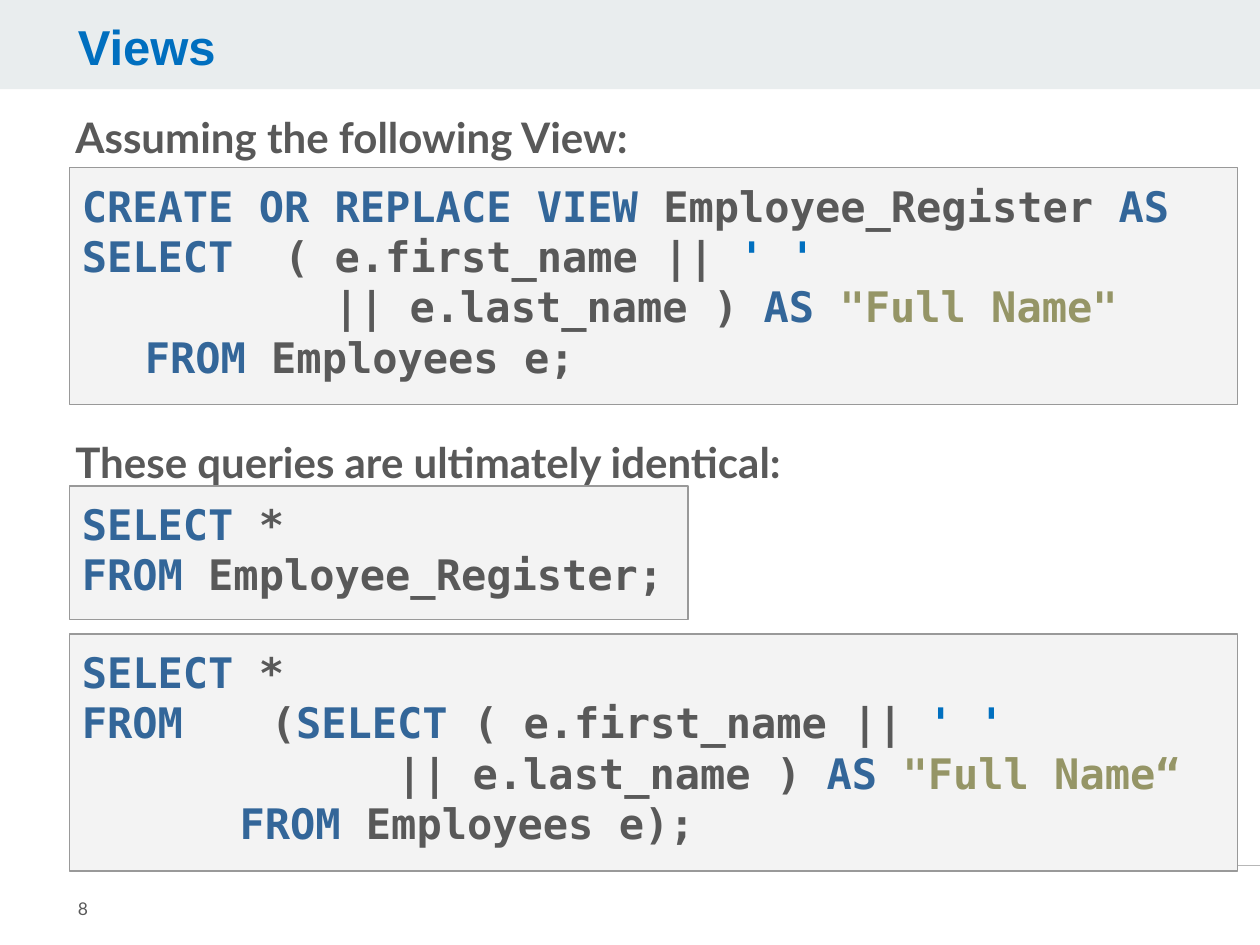
from dataclasses import dataclass
from typing import Any

from lxml.etree import SubElement
from pptx import Presentation
from pptx.dml.color import RGBColor
from pptx.enum.shapes import MSO_CONNECTOR, MSO_SHAPE
from pptx.enum.text import MSO_ANCHOR, MSO_AUTO_SIZE, PP_ALIGN
from pptx.oxml.ns import qn
from pptx.util import Cm, Pt

COLORS = {
    "band": "E9EDEE",
    "rule": "B7B7B7",
    "panel": "F3F3F3",
    "border": "999999",
    "title": "006FBF",
    "plain": "595959",
    "keyword": "336699",
    "literal": "006FBF",
    "alias": "959566",
}
CODE_FONT = {"name": "DejaVu Sans Mono", "size": Pt(24), "bold": True}
HEADING_FONT = {"name": "Lato", "size": Pt(24), "bold": True}
TITLE_FONT = {"name": "Arial", "size": Pt(28), "bold": True}
NUMBER_FONT = {"name": "Lato", "size": Pt(10), "bold": False}

WIDE, NARROW = 23.55, 12.47
FOUR_LINES, TWO_LINES = 4.78, 2.69
PANEL_LEFT = 1.4


@dataclass
class CodeLine:
    tokens: list[tuple[str, str]]
    margin: float = 0
    indent: float = 0


@dataclass
class CodePanel:
    top: float
    width: float
    height: float
    lines: list[CodeLine]


def concatenation(margin: float, closing_quote: str) -> CodeLine:
    return CodeLine(
        [("plain", "|| e.last_name ) "), ("keyword", "AS "),
         ("alias", f'"Full Name{closing_quote}')],
        margin, 1.27,
    )


FIRST_NAME = [("plain", "( e.first_name || "), ("literal", "' '")]
SELECT_ALL = [("keyword", "SELECT "), ("plain", "* \n")]

PANELS = [
    CodePanel(3.38, WIDE, FOUR_LINES, [
        CodeLine([("keyword", "CREATE OR REPLACE VIEW "),
                  ("plain", "Employee_Register "),
                  ("keyword", "AS \nSELECT  "), *FIRST_NAME]),
        concatenation(3.81, '"'),
        CodeLine([("keyword", "FROM "), ("plain", "Employees e;")], 1.27),
    ]),
    CodePanel(9.8, NARROW, TWO_LINES, [
        CodeLine([*SELECT_ALL, ("keyword", "FROM "),
                  ("plain", "Employee_Register;")]),
    ]),
    CodePanel(12.78, WIDE, FOUR_LINES, [
        CodeLine([*SELECT_ALL, ("keyword", "FROM \t"), ("plain", "("),
                  ("keyword", "SELECT "), *FIRST_NAME]),
        concatenation(5.08, "“"),
        CodeLine([("keyword", "FROM "), ("plain", "Employees e);")], 3.18),
    ]),
]


def rgb(role: str) -> RGBColor:
    return RGBColor.from_string(COLORS[role])


def apply_format(target: Any, values: dict[str, Any]) -> None:
    for attribute, value in values.items():
        setattr(target, attribute, value)


def set_frame(frame: Any, inset: float, anchor: MSO_ANCHOR) -> None:
    apply_format(frame, {
        "margin_left": Cm(0.25), "margin_right": Cm(0.25),
        "margin_top": Cm(inset), "margin_bottom": Cm(inset),
        "word_wrap": True, "auto_size": MSO_AUTO_SIZE.NONE,
        "vertical_anchor": anchor,
    })


def set_indent(paragraph: Any, margin: float, indent: float) -> None:
    properties = paragraph._p.get_or_add_pPr()
    properties.set("marL", str(Cm(margin)))
    properties.set("indent", str(Cm(indent)))


def write(paragraph: Any, text: str, role: str, font: dict[str, Any]) -> None:
    """Add coloured text, turning each newline into a line break."""
    for number, part in enumerate(text.split("\n")):
        if number:
            paragraph.add_line_break()
        if part:
            run = paragraph.add_run()
            run.text = part
            apply_format(run.font, font)
            run.font.color.rgb = rgb(role)


def place(shape: Any, left: float, top: float, width: float, height: float) -> None:
    apply_format(shape, {"left": Cm(left), "top": Cm(top),
                         "width": Cm(width), "height": Cm(height)})


def bring_to_front(shape: Any) -> None:
    shape.element.getparent().append(shape.element)


def draw_background(slide: Any) -> None:
    rule = slide.shapes.add_connector(
        MSO_CONNECTOR.STRAIGHT, Cm(19.18), Cm(17.45), Cm(25.4), Cm(17.45))
    rule.line.color.rgb = rgb("rule")
    rule.line.width = Pt(0.75)
    SubElement(rule.element.spPr, qn("a:effectLst"))

    band = slide.shapes.add_shape(
        MSO_SHAPE.RECTANGLE, 0, 0, Cm(25.4), Cm(1.8))
    band.shadow.inherit = False
    band.fill.solid()
    band.fill.fore_color.rgb = rgb("band")
    band.line.fill.background()


def draw_headings(body: Any) -> None:
    place(body, 1.27, 1.96, 23.14, 17.35)
    bring_to_front(body)
    frame = body.text_frame
    set_frame(frame, 0.13, MSO_ANCHOR.TOP)
    headings = [("Assuming the following View:", 0),
                ("These queries are ultimately identical:", 153)]
    for number, (heading, space_before) in enumerate(headings):
        paragraph = frame.add_paragraph() if number else frame.paragraphs[0]
        apply_format(paragraph, {"line_spacing": 1.15, "space_after": Pt(0),
                                 "space_before": Pt(space_before)})
        set_indent(paragraph, 0, 0)
        SubElement(paragraph._p.get_or_add_pPr(), qn("a:buNone"))
        write(paragraph, heading, "plain", HEADING_FONT)


def draw_panel(slide: Any, panel: CodePanel) -> None:
    box = slide.shapes.add_shape(
        MSO_SHAPE.RECTANGLE, Cm(PANEL_LEFT), Cm(panel.top),
        Cm(panel.width), Cm(panel.height))
    box.shadow.inherit = False
    box.fill.solid()
    box.fill.fore_color.rgb = rgb("panel")
    box.line.color.rgb = rgb("border")
    box.line.width = Pt(0.75)
    frame = box.text_frame
    set_frame(frame, 0.25, MSO_ANCHOR.TOP)
    for number, line in enumerate(panel.lines):
        paragraph = frame.add_paragraph() if number else frame.paragraphs[0]
        paragraph.alignment = PP_ALIGN.LEFT
        set_indent(paragraph, line.margin, line.indent)
        for role, text in line.tokens:
            write(paragraph, text, role, CODE_FONT)


def draw_title(title: Any) -> None:
    place(title, 1.32, 0.33, 20.02, 1.4)
    bring_to_front(title)
    set_frame(title.text_frame, 0.13, MSO_ANCHOR.TOP)
    paragraph = title.text_frame.paragraphs[0]
    apply_format(paragraph, {"alignment": PP_ALIGN.LEFT, "line_spacing": 0.9})
    write(paragraph, "Views", "title", TITLE_FONT)


def draw_page_number(slide: Any) -> None:
    number = slide.shapes.add_textbox(Cm(1.32), Cm(17.6), Cm(3.12), Cm(1.45))
    set_frame(number.text_frame, 0.25, MSO_ANCHOR.MIDDLE)
    write(number.text_frame.paragraphs[0], "8", "plain", NUMBER_FONT)


def main() -> None:
    deck = Presentation()
    apply_format(deck, {"slide_width": Cm(25.4), "slide_height": Cm(19.05)})
    slide = deck.slides.add_slide(deck.slide_layouts[1])
    draw_background(slide)
    draw_headings(slide.placeholders[1])
    draw_page_number(slide)
    for panel in PANELS:
        draw_panel(slide, panel)
    draw_title(slide.shapes.title)
    deck.save("out.pptx")


if __name__ == "__main__":
    main()
